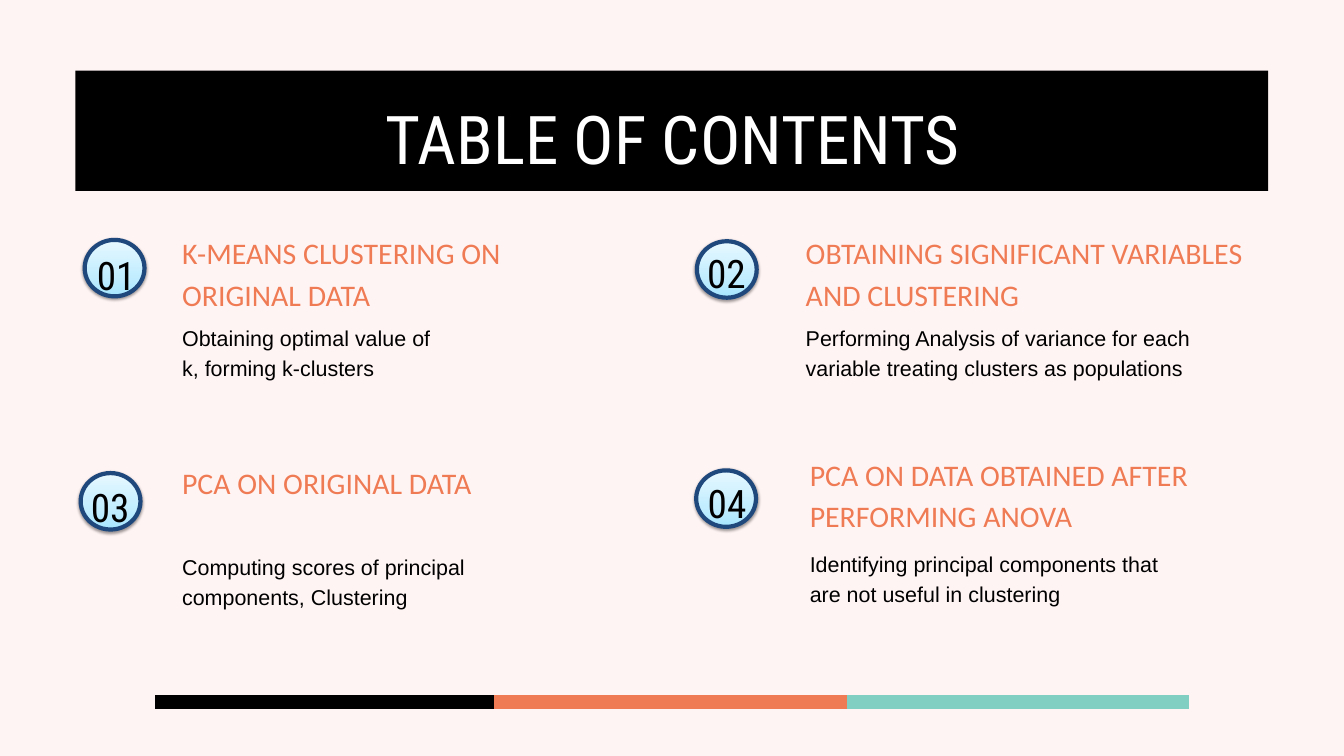
import copy
import dataclasses
import itertools

import pptx
import pptx.dml.color
import pptx.enum.shapes
import pptx.enum.text
import pptx.oxml
import pptx.oxml.ns
import pptx.util
from pptx.util import Inches


@dataclasses.dataclass(frozen=True)
class TextStyle:
    font: str
    size: float
    line_spacing: float
    color: str
    centered: bool = False


@dataclasses.dataclass(frozen=True)
class Theme:
    background: str = "FFF4F4"
    black: str = "000000"
    orange: str = "EF7B54"
    teal: str = "81CFC2"
    badge_line: str = "1F497D"
    badge_stops: tuple = ((0, "A7E6FF"), (0.35, "C1EDFF"), (1, "E7F8FF"))
    title: TextStyle = TextStyle("Roboto Condensed", 72, 100.8, "FFFFFF", True)
    heading: TextStyle = TextStyle("Calibri", 32, 44.8, "EF7B54")
    description: TextStyle = TextStyle("Arial", 23, 32.2, "000000")
    number: TextStyle = TextStyle("Roboto Condensed", 42, 58.8, "000000", True)


@dataclasses.dataclass(frozen=True)
class Box:
    left: float
    top: float
    width: float
    height: float

    def lengths(self) -> tuple:
        return tuple(Inches(value) for value in dataclasses.astuple(self))


@dataclasses.dataclass(frozen=True)
class Entry:
    number: str
    heading: str
    description: str
    badge: Box
    number_box: Box
    heading_box: Box
    description_box: Box


THEME = Theme()
BADGE_SIZE = (0.89, 0.84)
HEADING_HEIGHT = 1.2
DESCRIPTION_HEIGHT = 0.88

ENTRIES = (
    Entry("01", "K-MEANS CLUSTERING ON ORIGINAL DATA",
          "Obtaining optimal value of k, forming k-clusters",
          Box(1.26, 3.57, *BADGE_SIZE), Box(1.26, 3.63, 0.94, 0.8),
          Box(2.71, 3.4, 5.48, HEADING_HEIGHT), Box(2.71, 4.77, 3.81, DESCRIPTION_HEIGHT)),
    Entry("02", "OBTAINING SIGNIFICANT VARIABLES AND CLUSTERING",
          "Performing Analysis of variance for each variable treating clusters as populations",
          Box(10.37, 3.59, *BADGE_SIZE), Box(10.31, 3.59, 1, 0.77),
          Box(11.99, 3.4, 6.68, HEADING_HEIGHT), Box(11.99, 4.77, 6.26, DESCRIPTION_HEIGHT)),
    Entry("03", "PCA ON ORIGINAL DATA",
          "Computing scores of principal components, Clustering",
          Box(1.2, 7.04, *BADGE_SIZE), Box(1.13, 7.07, 1.02, 0.79),
          Box(2.71, 6.82, 4.46, HEADING_HEIGHT), Box(2.71, 8.18, 4.64, DESCRIPTION_HEIGHT)),
    Entry("04", "PCA ON DATA OBTAINED AFTER PERFORMING ANOVA",
          "Identifying principal components that are not useful in clustering",
          Box(10.36, 7, *BADGE_SIZE), Box(10.31, 7.01, 1.02, 0.79),
          Box(12.05, 6.7, 6.21, HEADING_HEIGHT), Box(12.05, 8.13, 5.65, DESCRIPTION_HEIGHT)),
)


def rgb(color: str) -> pptx.dml.color.RGBColor:
    return pptx.dml.color.RGBColor.from_string(color)


def write_text(shape, text: str, style: TextStyle) -> None:
    frame = shape.text_frame
    frame.text = text
    frame.word_wrap = True
    frame.auto_size = pptx.enum.text.MSO_AUTO_SIZE.NONE
    frame.vertical_anchor = pptx.enum.text.MSO_ANCHOR.TOP
    frame.margin_left = frame.margin_top = frame.margin_right = frame.margin_bottom = 0
    alignment = pptx.enum.text.PP_ALIGN
    paragraph = frame.paragraphs[0]
    paragraph.alignment = alignment.CENTER if style.centered else alignment.LEFT
    paragraph.line_spacing = pptx.util.Pt(style.line_spacing)
    font = paragraph.runs[0].font
    font.name = style.font
    font.size = pptx.util.Pt(style.size)
    font.color.rgb = rgb(style.color)


def add_text(slide, box: Box, text: str, style: TextStyle) -> None:
    write_text(slide.shapes.add_textbox(*box.lengths()), text, style)


def add_title(slide, banner_box: Box, title_box: Box, text: str) -> None:
    banner = slide.shapes.add_shape(
        pptx.enum.shapes.MSO_SHAPE.RECTANGLE, *banner_box.lengths())
    banner.shadow.inherit = False
    banner.fill.solid()
    banner.fill.fore_color.rgb = rgb(THEME.black)
    banner.line.fill.background()

    title = slide.shapes.title
    title.left, title.top, title.width, title.height = title_box.lengths()
    write_text(title, text, THEME.title)
    banner.element.addnext(title.element)


def fill_with_gradient(shape) -> None:
    """Run the badge stops from the bottom of the shape to its top."""
    shape.fill.gradient()
    shape.fill.gradient_angle = 90
    stop_list = shape.element.spPr.find(".//" + pptx.oxml.ns.qn("a:gsLst"))
    stop_list.append(copy.deepcopy(stop_list[-1]))
    for stop, (position, color) in zip(shape.fill.gradient_stops, THEME.badge_stops):
        stop.position = position
        stop.color.rgb = rgb(color)


def add_soft_shadow(shape) -> None:
    shape.shadow.inherit = False
    effects = shape.element.spPr.find(pptx.oxml.ns.qn("a:effectLst"))
    effects.append(pptx.oxml.parse_xml(
        f'<a:outerShdw {pptx.oxml.ns.nsdecls("a")} blurRad="40000" dist="20000" '
        'dir="5400000" rotWithShape="0">'
        f'<a:srgbClr val="{THEME.black}"><a:alpha val="38000"/></a:srgbClr>'
        '</a:outerShdw>'))


def add_badge(slide, box: Box) -> None:
    badge = slide.shapes.add_shape(pptx.enum.shapes.MSO_SHAPE.OVAL, *box.lengths())
    fill_with_gradient(badge)
    badge.line.color.rgb = rgb(THEME.badge_line)
    badge.line.width = pptx.util.Pt(4.5)
    add_soft_shadow(badge)


def add_entry(slide, entry: Entry) -> None:
    add_badge(slide, entry.badge)
    add_text(slide, entry.number_box, entry.number, THEME.number)
    add_text(slide, entry.heading_box, entry.heading, THEME.heading)
    add_text(slide, entry.description_box, entry.description, THEME.description)


def add_footer_stripe(slide, y: float, stops: tuple, colors: tuple) -> None:
    for (start, end), color in zip(itertools.pairwise(stops), colors):
        line = slide.shapes.add_connector(
            pptx.enum.shapes.MSO_CONNECTOR.STRAIGHT,
            Inches(start), Inches(y), Inches(end), Inches(y))
        line.line.color.rgb = rgb(color)
        line.line.width = pptx.util.Pt(15)
        line.element.spPr.append(pptx.oxml.parse_xml(
            f'<a:effectLst {pptx.oxml.ns.nsdecls("a")}/>'))


def main() -> None:
    presentation = pptx.Presentation()
    presentation.slide_width = Inches(20)
    presentation.slide_height = Inches(11.25)
    title_only_layout = presentation.slide_layouts[5]
    slide = presentation.slides.add_slide(title_only_layout)
    slide.background.fill.solid()
    slide.background.fill.fore_color.rgb = rgb(THEME.background)

    add_footer_stripe(slide, 10.45, (2.31, 7.35, 12.61, 17.69),
                      (THEME.black, THEME.orange, THEME.teal))
    add_title(slide, Box(1.12, 1.05, 17.75, 1.79), Box(4.79, 1.25, 10.44, 1.35),
              "TABLE OF CONTENTS")
    for entry in ENTRIES:
        add_entry(slide, entry)
    presentation.save("out.pptx")


if __name__ == "__main__":
    main()
